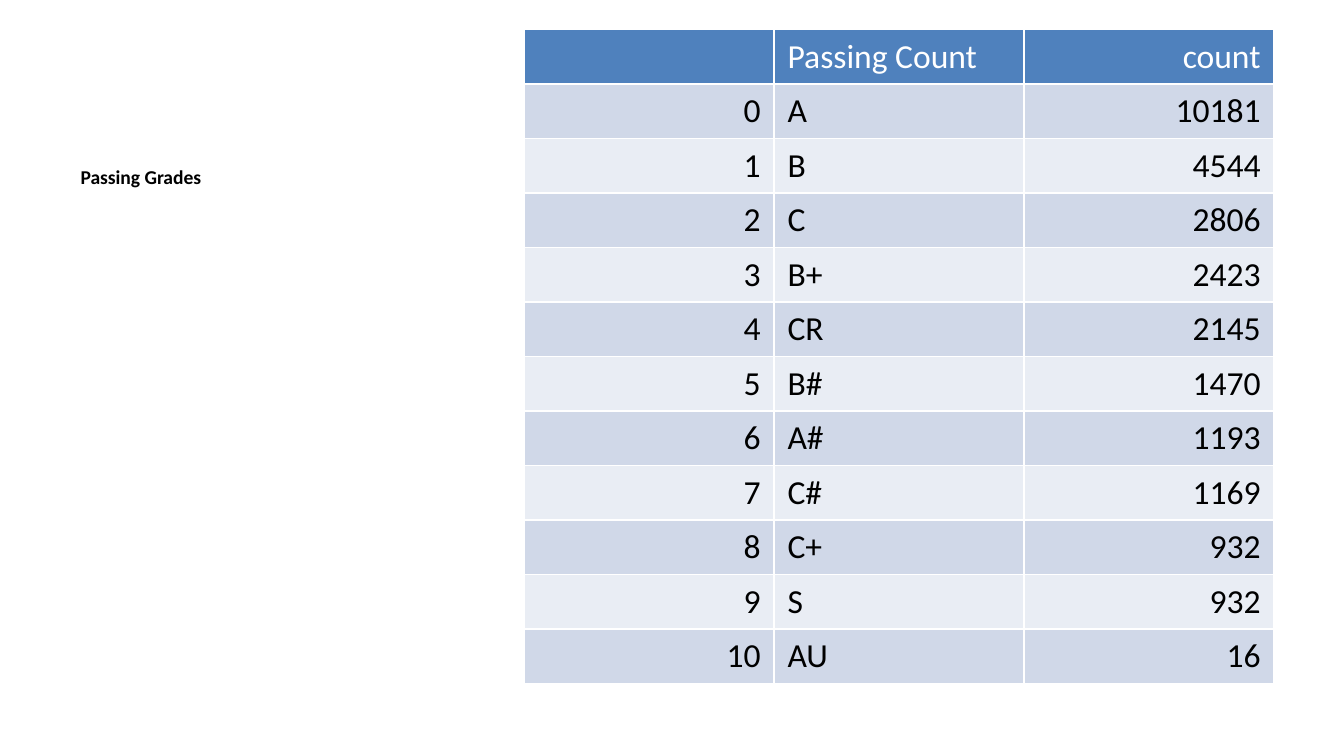
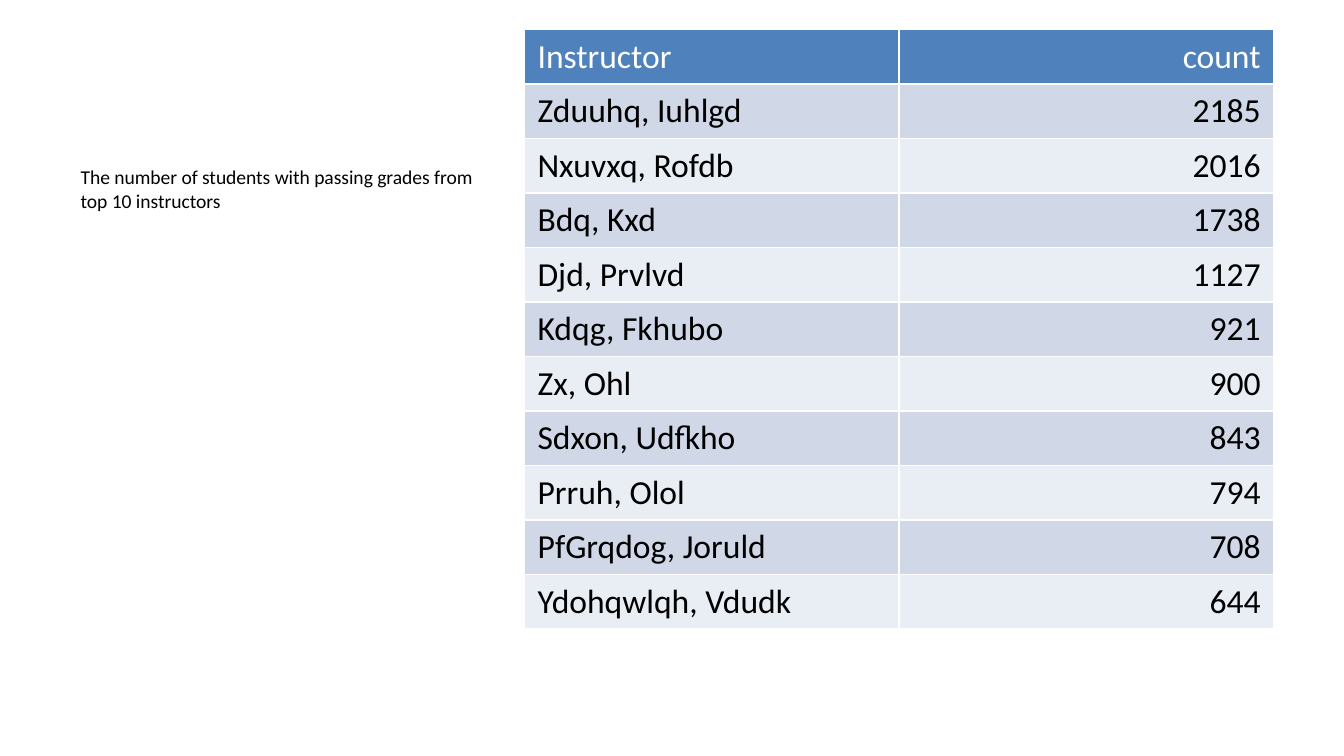
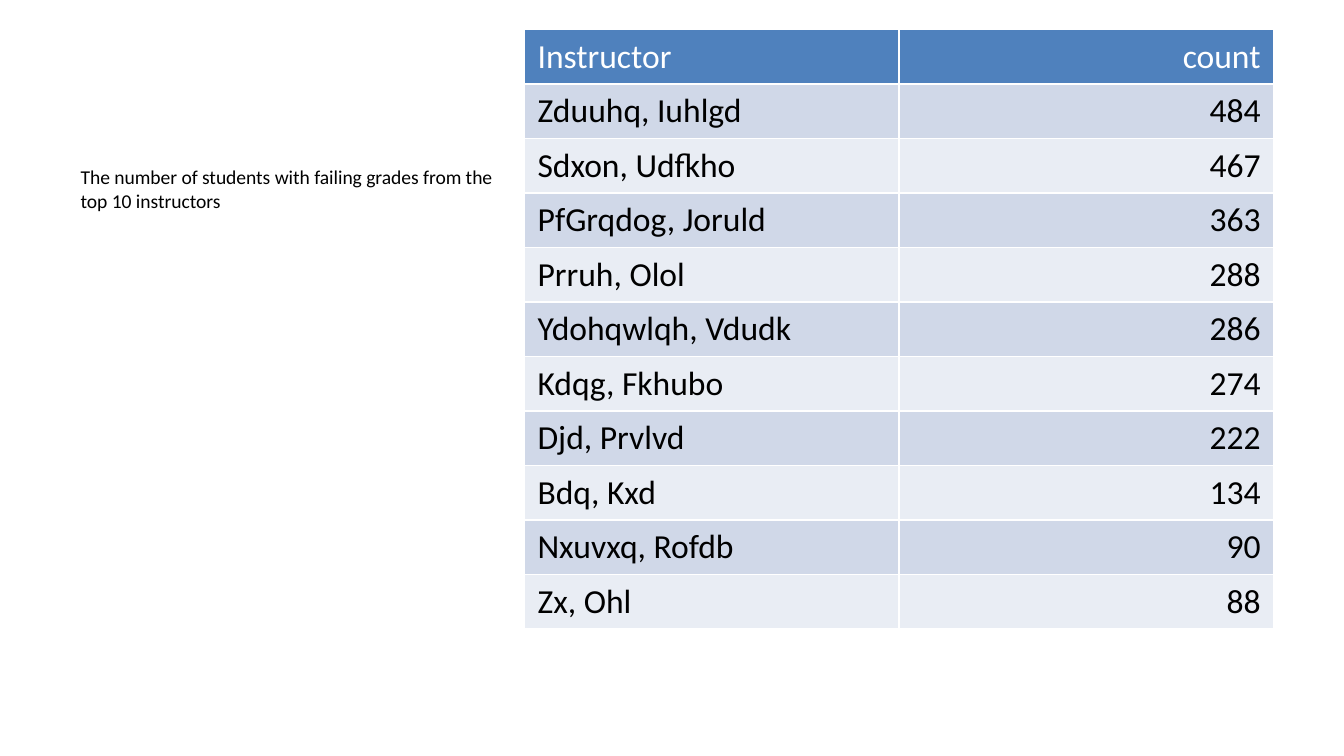
from pptx import Presentation
from pptx.dml.color import RGBColor
from pptx.enum.text import PP_ALIGN
from pptx.util import Inches, Pt

LEFT, RIGHT = PP_ALIGN.LEFT, PP_ALIGN.RIGHT

FONT = "Calibri"
BLACK = "000000"
WHITE = "FFFFFF"
HEADER_FILL = "4F81BD"
BAND_FILLS = ("D0D8E8", "E9EDF4")

CAPTION_LAYOUT = 7
CAPTION_PLACEHOLDER = 2
TABLE_WIDTH = Inches(5.58)
ROW_HEIGHT = Inches(3.9) // 12

GRADE_ALIGNMENTS = (RIGHT, LEFT, RIGHT)
GRADES = [
    ("", "Passing Count", "count"),
    ("0", "A", "10181"),
    ("1", "B", "4544"),
    ("2", "C", "2806"),
    ("3", "B+", "2423"),
    ("4", "CR", "2145"),
    ("5", "B#", "1470"),
    ("6", "A#", "1193"),
    ("7", "C#", "1169"),
    ("8", "C+", "932"),
    ("9", "S", "932"),
    ("10", "AU", "16"),
]

INSTRUCTOR_ALIGNMENTS = (LEFT, RIGHT)
INSTRUCTOR_HEADER = ("Instructor", "count")
PASSING_INSTRUCTORS = [
    INSTRUCTOR_HEADER,
    ("Zduuhq, Iuhlgd", "2185"),
    ("Nxuvxq, Rofdb", "2016"),
    ("Bdq, Kxd", "1738"),
    ("Djd, Prvlvd", "1127"),
    ("Kdqg, Fkhubo", "921"),
    ("Zx, Ohl", "900"),
    ("Sdxon, Udfkho", "843"),
    ("Prruh, Olol", "794"),
    ("PfGrqdog, Joruld", "708"),
    ("Ydohqwlqh, Vdudk", "644"),
]
FAILING_INSTRUCTORS = [
    INSTRUCTOR_HEADER,
    ("Zduuhq, Iuhlgd", "484"),
    ("Sdxon, Udfkho", "467"),
    ("PfGrqdog, Joruld", "363"),
    ("Prruh, Olol", "288"),
    ("Ydohqwlqh, Vdudk", "286"),
    ("Kdqg, Fkhubo", "274"),
    ("Djd, Prvlvd", "222"),
    ("Bdq, Kxd", "134"),
    ("Nxuvxq, Rofdb", "90"),
    ("Zx, Ohl", "88"),
]


def set_color(color_format, hex_color):
    color_format.rgb = RGBColor.from_string(hex_color)


def format_font(font, size, color, bold=False):
    font.name = FONT
    font.size = Pt(size)
    font.bold = bold
    set_color(font.color, color)


def add_caption_slide(presentation, caption, bold=False, space_before=None):
    """Add a slide whose only placeholder is the caption on the left."""
    slide = presentation.slides.add_slide(presentation.slide_layouts[CAPTION_LAYOUT])
    for placeholder in list(slide.placeholders):
        if placeholder.placeholder_format.idx != CAPTION_PLACEHOLDER:
            placeholder.element.getparent().remove(placeholder.element)
            continue
        placeholder.left, placeholder.top = Inches(0.5), Inches(1.18)
        placeholder.width, placeholder.height = Inches(3.29), Inches(3.85)
        placeholder.text_frame.text = caption
        paragraph = placeholder.text_frame.paragraphs[0]
        if space_before is not None:
            paragraph.space_before = Pt(space_before)
        format_font(paragraph.runs[0].font, 10.5, BLACK, bold)
    return slide


def format_cell(cell, text, alignment, fill, color):
    cell.fill.solid()
    set_color(cell.fill.fore_color, fill)
    cell.text_frame.text = text
    paragraph = cell.text_frame.paragraphs[0]
    paragraph.alignment = alignment
    for run in paragraph.runs:
        format_font(run.font, 18, color)


def add_count_table(slide, rows, alignments):
    """Add a table with a blue header; its white rules come from the table style."""
    table = slide.shapes.add_table(
        len(rows), len(alignments), Inches(3.9), Inches(0.22),
        TABLE_WIDTH, ROW_HEIGHT * len(rows),
    ).table
    for row_index, row in enumerate(rows):
        if row_index == 0:
            fill, color = HEADER_FILL, WHITE
        else:
            fill, color = BAND_FILLS[(row_index - 1) % 2], BLACK
        for column_index, text in enumerate(row):
            cell = table.cell(row_index, column_index)
            format_cell(cell, text, alignments[column_index], fill, color)


def main():
    presentation = Presentation()
    presentation.slide_width = Inches(10)
    presentation.slide_height = Inches(10) * 9 // 16

    slide = add_caption_slide(presentation, "Passing Grades", bold=True, space_before=30)
    add_count_table(slide, GRADES, GRADE_ALIGNMENTS)

    slide = add_caption_slide(
        presentation, "The number of students with passing grades from top 10 instructors")
    add_count_table(slide, PASSING_INSTRUCTORS, INSTRUCTOR_ALIGNMENTS)

    slide = add_caption_slide(
        presentation, "The number of students with failing grades from the top 10 instructors")
    add_count_table(slide, FAILING_INSTRUCTORS, INSTRUCTOR_ALIGNMENTS)

    presentation.save("out.pptx")


if __name__ == "__main__":
    main()
